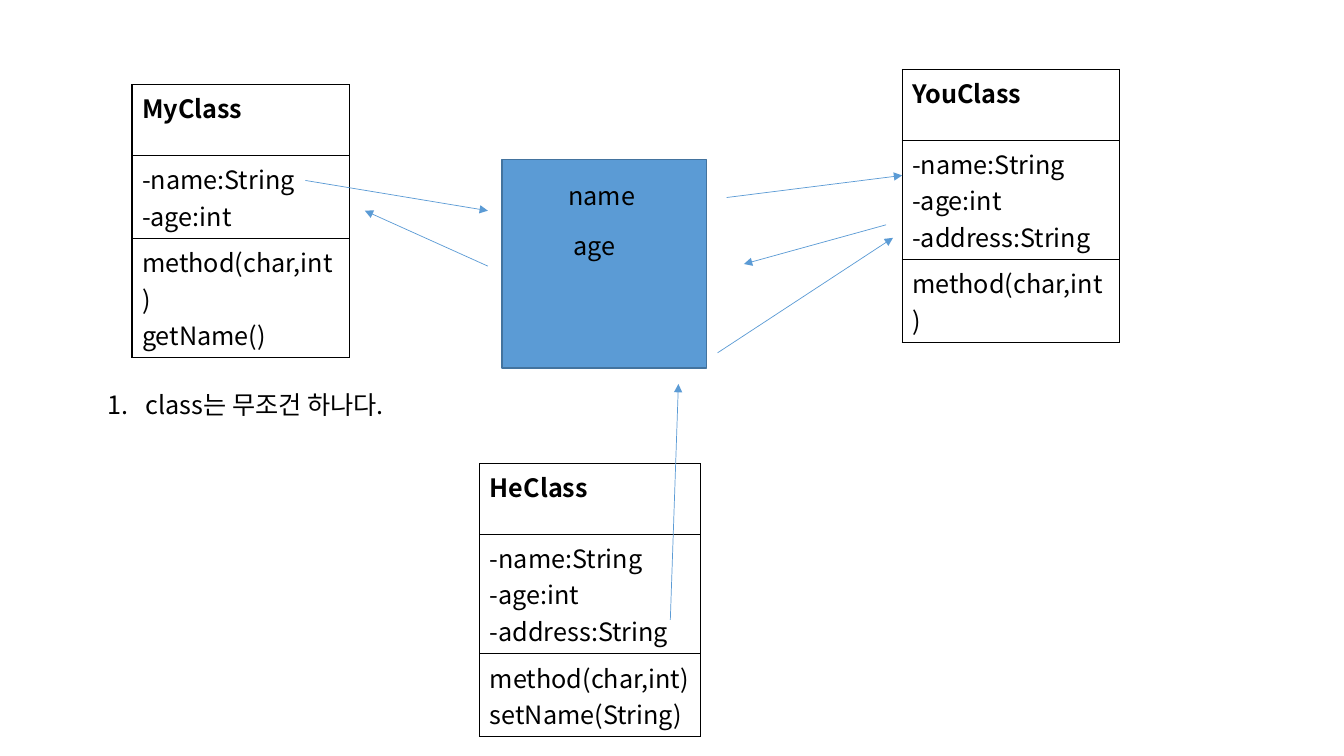
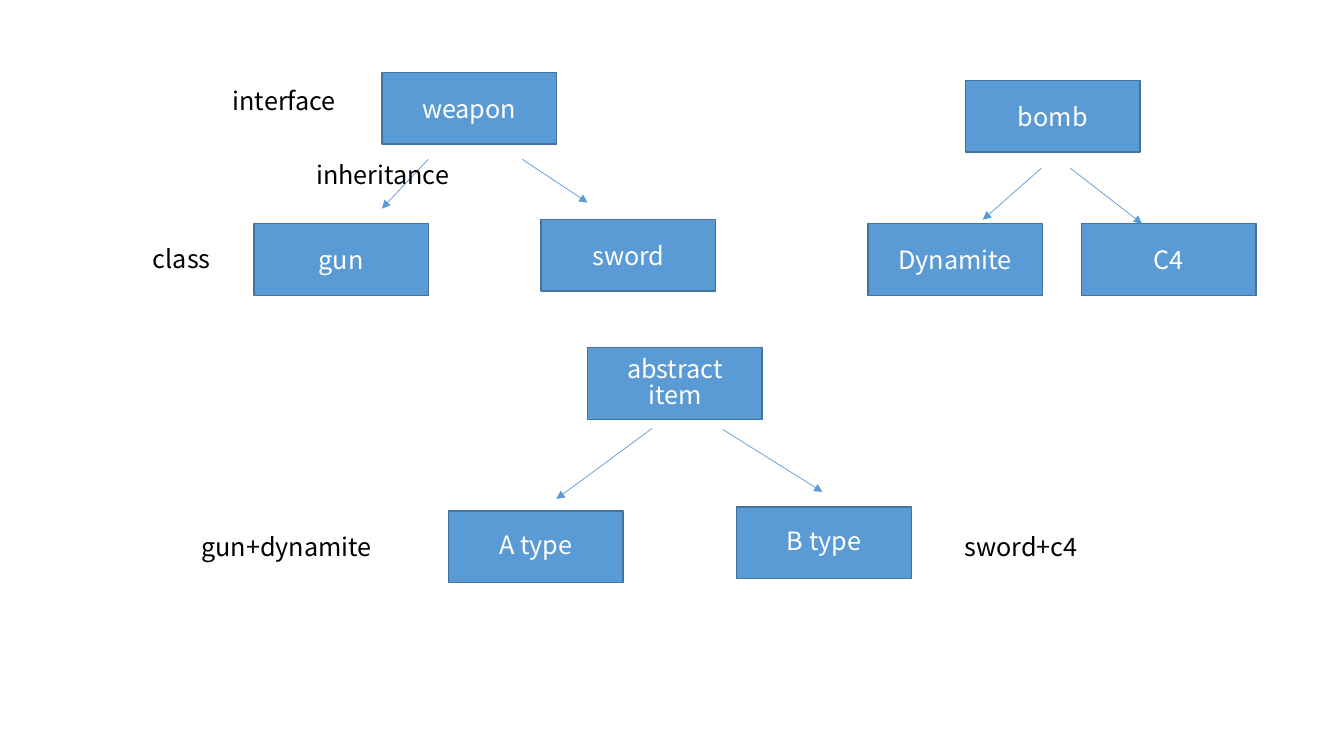
from dataclasses import dataclass
from lxml.etree import SubElement
from pptx import Presentation
from pptx.dml.color import RGBColor
from pptx.enum.shapes import MSO_CONNECTOR, MSO_SHAPE
from pptx.enum.text import MSO_ANCHOR, MSO_AUTO_SIZE, PP_ALIGN
from pptx.oxml import parse_xml
from pptx.oxml.ns import nsdecls, qn
from pptx.util import Pt


@dataclass(frozen=True)
class Theme:
    ink: RGBColor = RGBColor(0, 0, 0)
    paper: RGBColor = RGBColor(255, 255, 255)
    blue: RGBColor = RGBColor(0x5B, 0x9B, 0xD5)
    edge: RGBColor = RGBColor(0x43, 0x73, 0x9E)
    font: str = "Noto Sans CJK KR"
    size: float = 18
    rule: float = 1
    thin: float = 0.5


look = Theme()
NODE = (124.6, 51.1)


# Shared helpers
def put(item, **form):
    for key, val in form.items():
        setattr(item, key, val)


def paint(fill, color):
    fill.solid()
    fill.fore_color.rgb = color


def write(frame, lines, color=look.ink, bold=False, **form):
    for num, line in enumerate(lines):
        para = frame.add_paragraph() if num else frame.paragraphs[0]
        put(para, **form)
        run = para.add_run()
        run.text = line
        put(run.font, name=look.font, size=Pt(look.size), bold=bold)
        run.font.color.rgb = color
        SubElement(run._r.get_or_add_rPr(), qn("a:ea"), typeface=look.font)


def label(slide, text, left, top, width, height=29.1):
    box = slide.shapes.add_textbox(Pt(left), Pt(top), Pt(width), Pt(height))
    put(box.text_frame, word_wrap=True, auto_size=MSO_AUTO_SIZE.SHAPE_TO_FIT_TEXT)
    write(box.text_frame, [text])
    return box


def block(slide, left, top, width, height):
    box = slide.shapes.add_shape(
        MSO_SHAPE.RECTANGLE, Pt(left), Pt(top), Pt(width), Pt(height))
    box.shadow.inherit = False
    paint(box.fill, look.blue)
    paint(box.line.fill, look.edge)
    box.line.width = Pt(look.rule)
    return box


def arrow(slide, x1, y1, x2, y2):
    line = slide.shapes.add_connector(
        MSO_CONNECTOR.STRAIGHT, Pt(x1), Pt(y1), Pt(x2), Pt(y2))
    paint(line.line.fill, look.blue)
    line.line.width = Pt(look.thin)
    SubElement(line.line._get_or_add_ln(), qn("a:tailEnd"), type="triangle")
    SubElement(line._element.spPr, qn("a:effectLst"))


# Class card: title, fields and methods in three rows
def frame_cell(cell):
    paint(cell.fill, look.paper)
    for num, side in enumerate("LRTB"):
        cell._tc.get_or_add_tcPr().insert(num, parse_xml(
            f'<a:ln{side} {nsdecls("a")} w="{Pt(look.rule)}"><a:solidFill>'
            f'<a:srgbClr val="{look.ink}"/></a:solidFill></a:ln{side}>'))


def card(slide, left, top, width, rows, parts):
    table = slide.shapes.add_table(
        len(rows), 1, Pt(left), Pt(top), Pt(width), Pt(sum(rows))).table
    put(table, first_row=False, horz_banding=False)
    for num, (high, lines) in enumerate(zip(rows, parts)):
        table.rows[num].height = Pt(high)
        cell = table.cell(num, 0)
        frame_cell(cell)
        write(cell.text_frame, lines, bold=num == 0)


# Shared store: block with the names of its values
def store(slide, left, top, width, height):
    block(slide, left, top, width, height)
    label(slide, "name", left + 40.3, top + 11.5, 89.3)
    label(slide, "age", left + 43.9, top + 46.8, 82.1)


# Numbered note
def note(slide, text, *box):
    para = label(slide, text, *box).text_frame.paragraphs[0]
    prop = para._p.get_or_add_pPr()
    for key, val in {"marL": Pt(27), "indent": Pt(-27)}.items():
        prop.set(key, str(val))
    SubElement(prop, qn("a:buAutoNum"), type="arabicPeriod")


# Tree: a root, two children and the arrows between them
def node(slide, text, left, top, lead):
    box = block(slide, left, top, *NODE)
    put(box.text_frame, word_wrap=True, vertical_anchor=MSO_ANCHOR.MIDDLE)
    write(box.text_frame, [text], look.paper,
          alignment=PP_ALIGN.CENTER, line_spacing=lead)


def tree(slide, left, top, nodes, links, lead=None):
    for text, x, y in nodes:
        node(slide, text, left + x, top + y, lead)
    for x1, y1, x2, y2 in links:
        arrow(slide, left + x1, top + y1, left + x2, top + y2)


# Slide of classes
def classes(slide):
    high = 50.4
    name, age, home = "-name:String", "-age:int", "-address:String"
    call = "method(char,int)"
    card(slide, 94.3, 60.5, 155.5, [high] * 3,
         [["MyClass"], [name, age], [call, "getName()"]])
    card(slide, 644.4, 49.7, 155.5, [high] * 3,
         [["YouClass"], [name, age, home], [call]])
    card(slide, 342.7, 331.2, 157.7, [high, 72, high],
         [["HeClass"], [name, age, home], [call, "setName(String)"]])
    store(slide, 358.6, 113.8, 146.2, 149)
    for ends in [(218.2, 128.9, 348.5, 150.5), (519.1, 141.1, 644.4, 125.3),
                 (632.9, 160.6, 531.4, 188.6), (348.5, 190.1, 260.6, 150.5),
                 (478.8, 442.8, 484.6, 274.3), (512.6, 252, 637.9, 169.9)]:
        arrow(slide, *ends)
    note(slide, "class는 무조건 하나다.", 69.8, 274.3, 237.6, 72.7)


# Slide of inheritance
def family(slide):
    tree(slide, 181.4, 51.8,
         [("weapon", 91.4, 0), ("gun", 0, 108), ("sword", 205.2, 105.1)],
         [(124.6, 61.9, 91.4, 97.2), (191.5, 61.9, 238.3, 92.9)])
    tree(slide, 619.9, 57.6,
         [("bomb", 69.8, 0), ("Dynamite", 0, 102.2), ("C4", 152.6, 102.2)],
         [(123.9, 62.6, 82.1, 99.4), (144.7, 62.6, 195.9, 102.2)])
    tree(slide, 320.4, 248.4,
         [("abstract item", 99.4, 0), ("A type", 0, 116.6),
          ("B type", 205.9, 113.8)],
         [(145.4, 57.6, 77, 108), (195.8, 58.3, 267.1, 103)], lead=0.85)
    for text, left, top, width in [
            ("interface", 159.1, 57.6, 113.8), ("class", 102.2, 170.6, 113.8),
            ("inheritance", 218.9, 110.2, 113.8),
            ("gun+dynamite", 136.8, 375.8, 143.3),
            ("sword+c4", 681.8, 375.8, 143.3)]:
        label(slide, text, left, top, width)


deck = Presentation()
put(deck, slide_width=Pt(960), slide_height=Pt(540))
for build in (classes, family):
    page = deck.slides.add_slide(deck.slide_layouts[6])
    paint(page.background.fill, look.paper)
    build(page)
deck.save("out.pptx")
